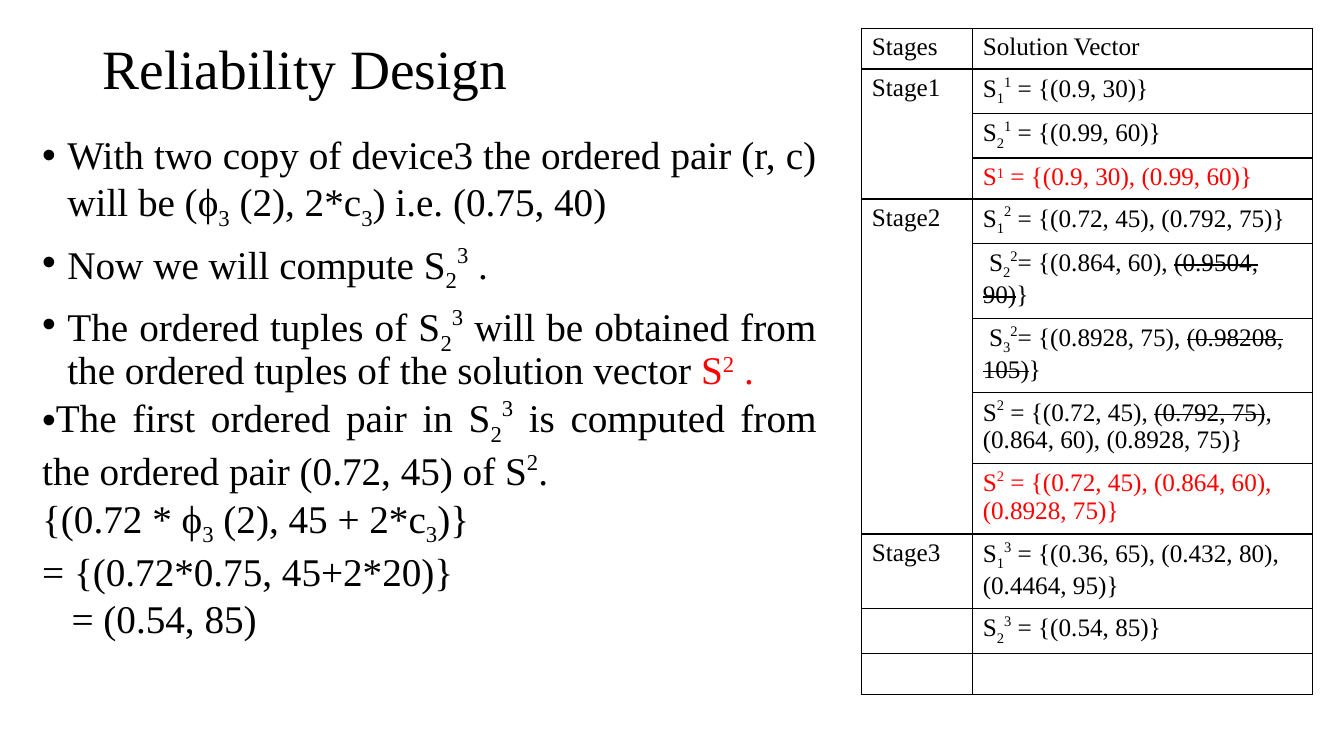
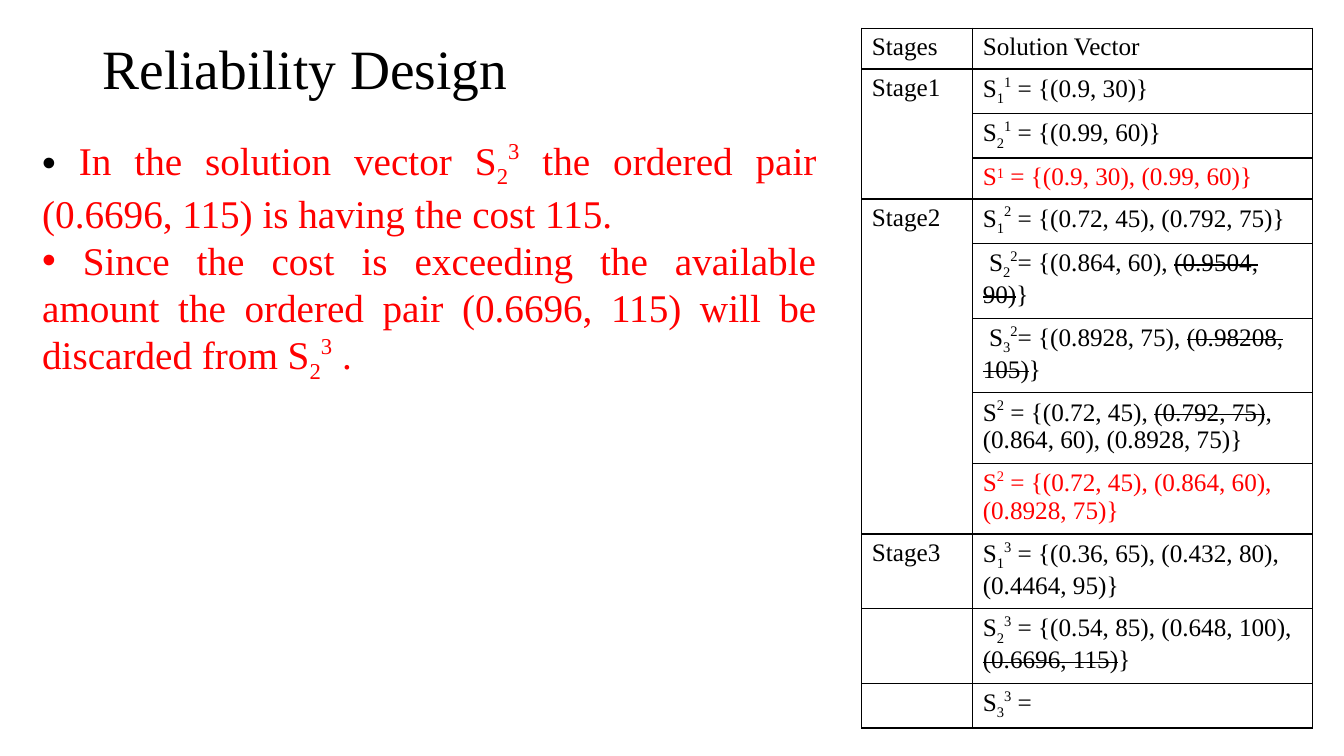
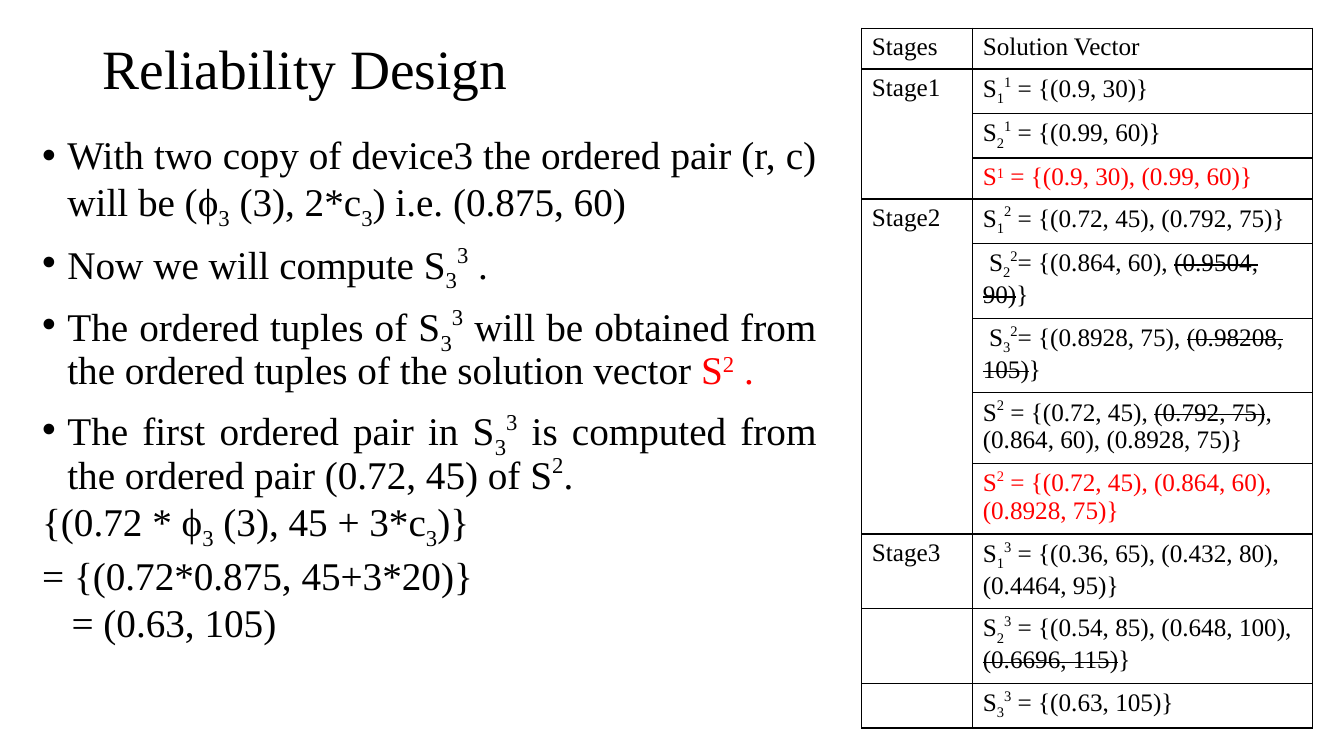
import lxml.etree
import pptx
import pptx.dml.color
import pptx.enum.text
import pptx.oxml.ns
import pptx.util

Pt = pptx.util.Pt

# Shared style
FONT = "Times New Roman"
BLACK, RED, WHITE = "000000", "FF0000", "FFFFFF"
TITLE_SIZE, BODY_SIZE, TABLE_SIZE = 39.6, 28, 18
TITLE_BOX = (66.24, 28.8, 426.24, 43.92)
BODY_LEFT, BODY_TOP, BODY_WIDTH = 23.04, 93.6, 567.36
TABLE_LEFT, TABLE_TOP, ROW_HEIGHT = 615.6, 20.16, 29.2
COLUMN_WIDTHS = (79.2, 242.64)

# Markup: _ lowers, ^ and ` raise the next character; ~ toggles strike, | toggles red
BASELINES = {"_": "-25000", "^": "40000", "`": "30000"}

# Paragraph styles: bullet, left margin, indent, line spacing, space before
STYLES = {
    "hanging": (True, 18, -18, 0.9, 10),
    "flush": (True, 0, 0, 1.0, 0),
    "plain": (False, 0, 0, 1.0, 0),
    "offset": (False, 21, 0, 1.0, 0),
}

# Content
TITLE = "Reliability Design"
COMMON_ROWS = [
    ("Stages", "Solution Vector"),
    ("Stage1", "S_1^1 = {(0.9, 30)}"),
    (None, "S_2^1 = {(0.99, 60)}"),
    (None, "|S`1 = {(0.9, 30), (0.99, 60)}"),
    ("Stage2", "S_1^2 = {(0.72, 45), (0.792, 75)}"),
    (None, " S_2^2= {(0.864, 60), ~(0.9504, 90)~}"),
    (None, " S_3^2= {(0.8928, 75), ~(0.98208, 105)~}"),
    (None, "S^2 = {(0.72, 45), ~(0.792, 75)~, (0.864, 60), (0.8928, 75)}"),
    (None, "|S^2 = {(0.72, 45), (0.864, 60), (0.8928, 75)}"),
    ("Stage3", "S_1^3 = {(0.36, 65), (0.432, 80), (0.4464, 95)}"),
]
SECOND_VECTOR = "S_2^3 = {(0.54, 85), (0.648, 100), ~(0.6696, 115)~}"


def computation(copies, reliability, pair_cost, result, pair_style):
    """Steps that compute the first pair for a number of copies of device 3."""
    vector = f"S_{copies}^3"
    return [
        ("hanging", "With two copy of device3 the ordered pair (r, c) will be "
                    f"(ϕ_3 ({copies}), 2*c_3) i.e. ({reliability}, {pair_cost})"),
        ("hanging", f"Now we will compute {vector} ."),
        ("hanging", f"The ordered tuples of {vector} will be obtained from the "
                    "ordered tuples of the solution vector |S`2 ."),
        (pair_style, f"The first ordered pair in {vector} is computed from the "
                     "ordered pair (0.72, 45) of S^2."),
        ("plain", f"{{(0.72 * ϕ_3 ({copies}), 45 + {copies}*c_3)}}"),
        ("plain", f"= {{(0.72*{reliability}, 45+{copies}*20)}}"),
        ("offset", f"= {result}"),
    ]


DISCARDED = [
    ("flush", " |In the solution vector S_2^3 the ordered pair (0.6696, 115) "
              "is having the cost 115."),
    ("flush", "| Since the cost is exceeding the available amount the ordered pair "
              "(0.6696, 115) will be discarded from S_2^3 ."),
]

# Each slide: body paragraphs, body height, vectors in the last two rows
SLIDES = [
    (computation(2, "0.75", 40, "(0.54, 85)", "flush"), 352.8,
     ["S_2^3 = {(0.54, 85)}", ""]),
    (DISCARDED, 210.96, [SECOND_VECTOR, "S_3^3 ="]),
    (computation(3, "0.875", 60, "(0.63, 105)", "hanging"), 427.68,
     [SECOND_VECTOR, "S_3^3 = {(0.63, 105)}"]),
]


def color(value):
    return pptx.dml.color.RGBColor.from_string(value)


def add_element(parent, tag, **attributes):
    return lxml.etree.SubElement(parent, pptx.oxml.ns.qn(tag), attributes)


def split_markup(text):
    """Return [characters, baseline, struck, red] for each run of the text."""
    runs, baseline, struck, red = [], None, False, False
    for character in text:
        if character in BASELINES:
            baseline = BASELINES[character]
        elif character == "~":
            struck = not struck
        elif character == "|":
            red = not red
        else:
            if runs and runs[-1][1:] == [baseline, struck, red]:
                runs[-1][0] += character
            else:
                runs.append([character, baseline, struck, red])
            baseline = None
    return runs


def write(paragraph, text, size):
    paragraph.font.name = FONT
    paragraph.font.size = Pt(size)
    paragraph.font.color.rgb = color(BLACK)
    for characters, baseline, struck, red in split_markup(text):
        run = paragraph.add_run()
        run.text = characters
        if red:
            run.font.color.rgb = color(RED)
        properties = run.font._element
        if baseline:
            properties.set("baseline", baseline)
        if struck:
            properties.set("strike", "sngStrike")


def add_text_frame(slide, left, top, width, height):
    box = slide.shapes.add_textbox(Pt(left), Pt(top), Pt(width), Pt(height))
    box.text_frame.word_wrap = True
    return box.text_frame


def add_title(slide):
    frame = add_text_frame(slide, *TITLE_BOX)
    frame.vertical_anchor = pptx.enum.text.MSO_ANCHOR.MIDDLE
    frame.paragraphs[0].line_spacing = 0.9
    write(frame.paragraphs[0], TITLE, TITLE_SIZE)


def add_body(slide, paragraphs, height):
    frame = add_text_frame(slide, BODY_LEFT, BODY_TOP, BODY_WIDTH, height)
    for index, (style, text) in enumerate(paragraphs):
        bullet, margin, indent, line_spacing, space_before = STYLES[style]
        paragraph = frame.add_paragraph() if index else frame.paragraphs[0]
        properties = paragraph._p.get_or_add_pPr()
        properties.set("marL", str(Pt(margin)))
        properties.set("indent", str(Pt(indent)))
        if bullet:
            add_element(properties, "a:buFont", typeface="Arial")
            add_element(properties, "a:buChar", char="•")
        paragraph.alignment = pptx.enum.text.PP_ALIGN.JUSTIFY
        paragraph.line_spacing = line_spacing
        paragraph.space_before = Pt(space_before if index else 0)
        write(paragraph, text, BODY_SIZE)


def style_cell(cell):
    properties = cell._tc.get_or_add_tcPr()
    for side in ("a:lnL", "a:lnR", "a:lnT", "a:lnB"):
        line = add_element(properties, side, w=str(Pt(1)))
        add_element(add_element(line, "a:solidFill"), "a:srgbClr", val=BLACK)
    cell.fill.solid()
    cell.fill.fore_color.rgb = color(WHITE)


def add_vector_table(slide, last_vectors):
    rows = COMMON_ROWS + [("", vector) for vector in last_vectors]
    table = slide.shapes.add_table(
        len(rows), len(COLUMN_WIDTHS), Pt(TABLE_LEFT), Pt(TABLE_TOP),
        Pt(sum(COLUMN_WIDTHS)), Pt(ROW_HEIGHT * len(rows))).table
    table.first_row = table.horz_banding = False
    for column, width in zip(table.columns, COLUMN_WIDTHS):
        column.width = Pt(width)
    for row_index, row in enumerate(rows):
        table.rows[row_index].height = Pt(ROW_HEIGHT)
        for column_index, text in enumerate(row):
            cell = table.cell(row_index, column_index)
            style_cell(cell)
            write(cell.text_frame.paragraphs[0], text or "", TABLE_SIZE)
    # A stage spans the rows below it that name no stage
    starts = [index for index, row in enumerate(rows) if row[0] is not None]
    for start, following in zip(starts, starts[1:]):
        if following - start > 1:
            table.cell(start, 0).merge(table.cell(following - 1, 0))


def main():
    presentation = pptx.Presentation()
    presentation.slide_width, presentation.slide_height = Pt(960), Pt(540)
    for paragraphs, height, last_vectors in SLIDES:
        slide = presentation.slides.add_slide(presentation.slide_layouts[6])
        add_title(slide)
        add_vector_table(slide, last_vectors)
        add_body(slide, paragraphs, height)
    presentation.save("out.pptx")


if __name__ == "__main__":
    main()
